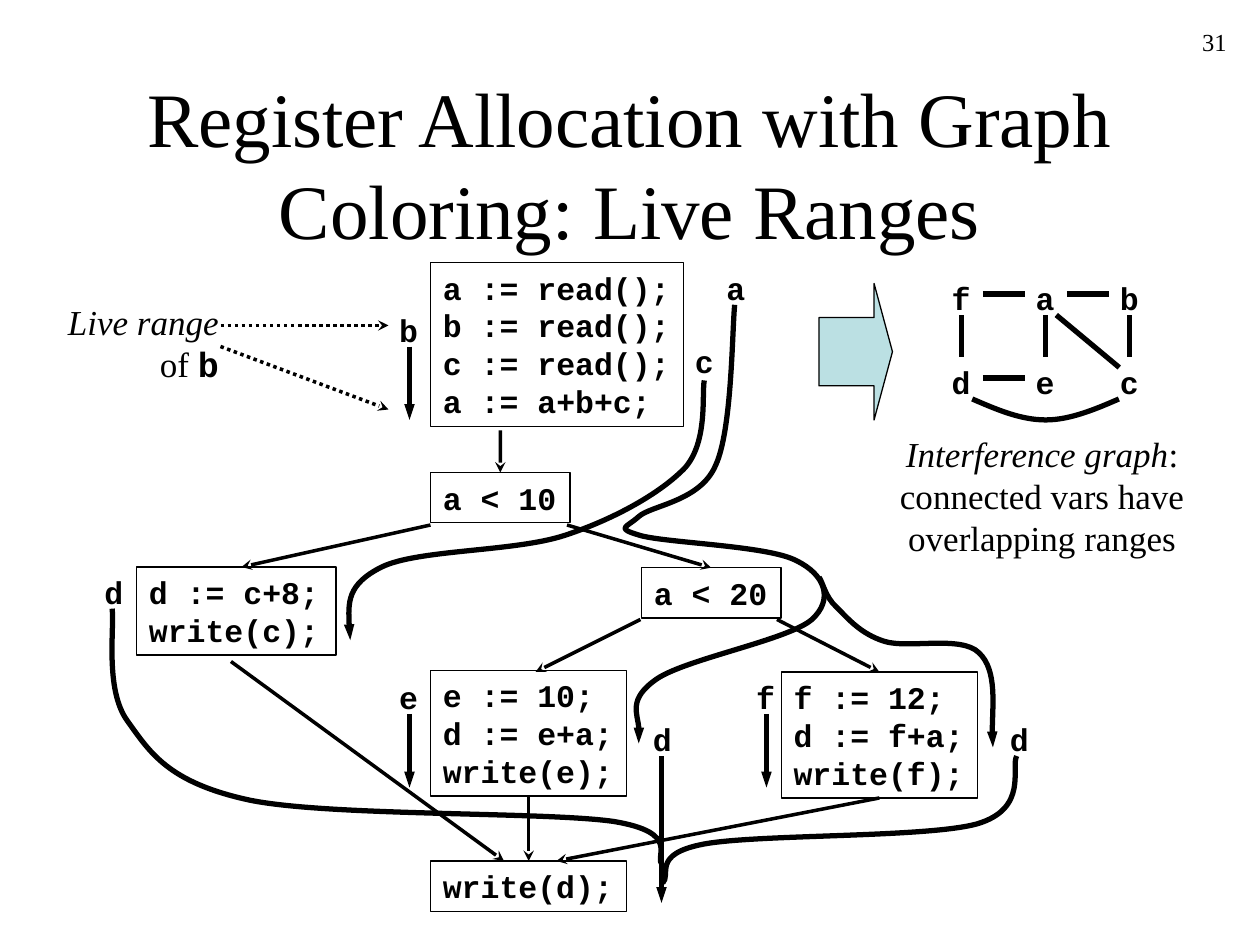
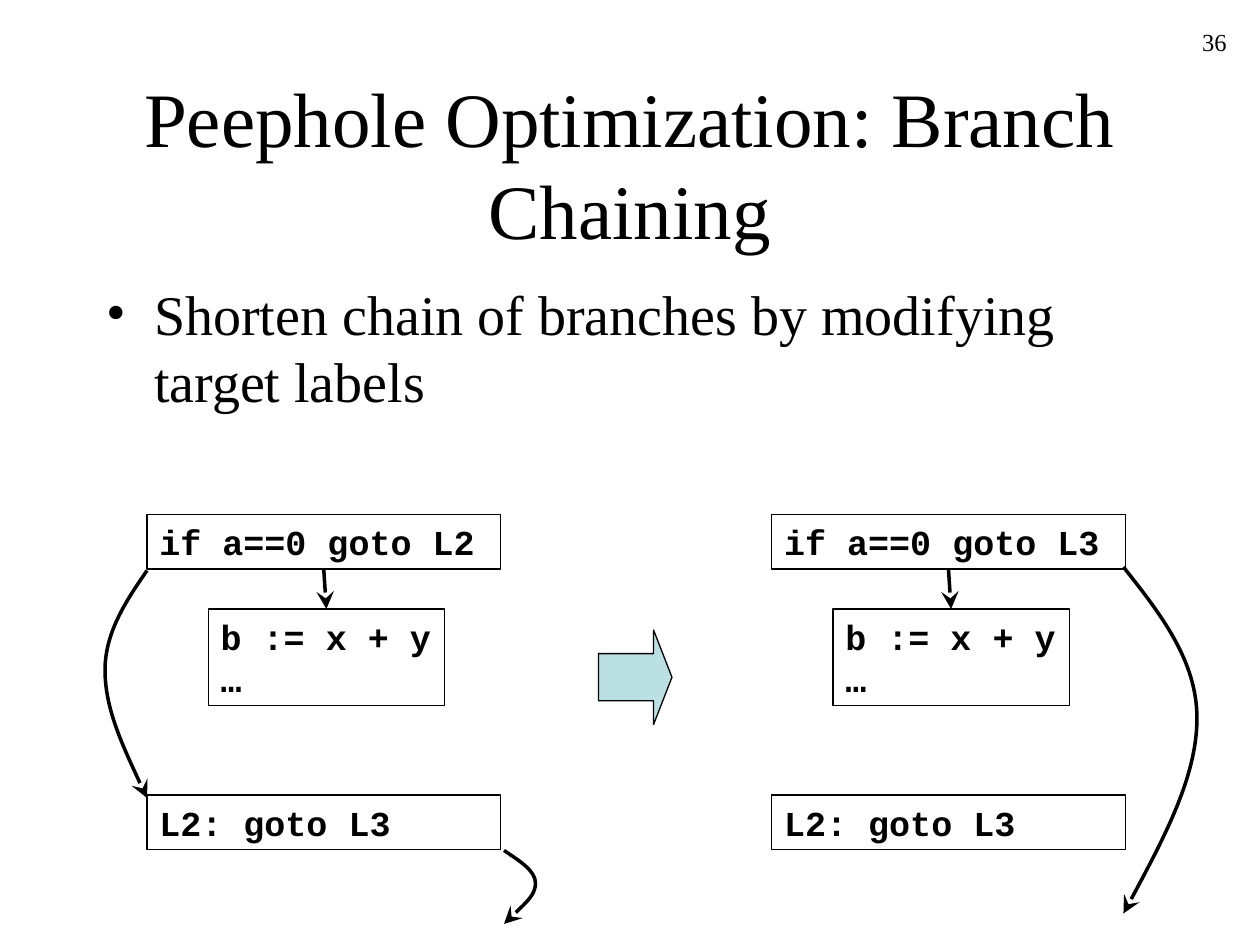
"""Builds two compiler slides: live ranges for register allocation, and branch chaining."""
from lxml.etree import SubElement
from pptx import Presentation
from pptx.dml.color import RGBColor
from pptx.enum.dml import MSO_LINE
from pptx.enum.shapes import MSO_CONNECTOR, MSO_SHAPE
from pptx.enum.text import MSO_ANCHOR, MSO_AUTO_SIZE as AUTO, PP_ALIGN
from pptx.oxml.ns import qn
from pptx.util import Pt

SERIF, MONO = "Times New Roman", "Courier New"
BLACK, TEAL = "000000", "BBE0E3"
CODE_SIZE, CHAIN_SIZE = 18, 20
FLOW_TIP = {"type": "stealth"}
RANGE_TIP = {"type": "triangle", "w": "sm", "len": "med"}
JUMP_TIP = {"type": "stealth", "w": "lg", "len": "lg"}

RANGES_TITLE = "Register Allocation with Graph Coloring: Live Ranges"
RANGES_BLOCKS = [
    (246, 150, "a := read();\nb := read();\nc := read();\na := a+b+c;"),
    (366.5, 324.4, "a < 20"),
    (246, 270, "a < 10"),
    (78, 324, "d := c+8;\nwrite(c);", CODE_SIZE, 114),
    (446.4, 384, "f := 12;\nd := f+a;\nwrite(f);"),
    (246, 383, "e := 10;\nd := e+a;\nwrite(e);"),
    (246, 492, "write(d);"),
]
CONTROL_FLOW = [
    (286, 246, 286, 270), (246, 300, 138, 324), (324, 300, 408, 324),
    (444, 354, 504, 384), (366, 354, 306, 384), (300, 456, 300, 492),
    (132, 378, 288, 492), (504, 456, 318, 492),
]
RANGE_LETTERS = [
    (408, 150, "a"), (221, 174, "b"), (390, 192, "c"), (221, 384, "e"),
    (425, 384, "f"), (52.6, 324, "d"), (570, 408, "d"), (366, 408, "d"),
]
STRAIGHT_RANGES = [
    (234, 198, 234, 240), (234, 408, 234, 450),
    (438, 408, 438, 450), (378, 432, 378, 516),
]
RANGE_C = [
    (402.5, 217.4), (401, 225.4), (404.6, 252), (391.7, 267.1),
    (378, 281.5), (351.4, 296.6), (322.6, 306),
    (293.8, 315.4), (239, 313.9), (218.2, 324),
    (198, 334.1), (198.7, 349.9), (200.2, 365.8),
]
RANGE_A = [
    (419.8, 174.2), (418.3, 189.4), (418.3, 245.5), (409, 265.7),
    (400.3, 286.6), (372.2, 288.7), (365, 295.2),
    (357.8, 301.7), (351.4, 301.7), (365.8, 306),
    (380.9, 310.3), (439.2, 311.8), (455, 320.4),
    (471.6, 328.3), (476.6, 342.7), (463.7, 354.2),
    (450, 365.8), (391.7, 376.6), (375.1, 388.1),
    (358.6, 399.6), (367.2, 416.9), (365, 424.8),
]
RANGE_A_BRANCH = [
    (468, 329.8), (470.2, 332.6), (471.6, 341.3), (478.1, 347),
    (484.6, 353.5), (491.8, 362.2), (505.4, 366.5),
    (519.1, 370.8), (549.4, 362.9), (559.4, 373),
    (570.2, 383), (565.9, 415.4), (567.4, 427),
]
RANGE_D_RIGHT = [
    (581, 432), (577.4, 438.5), (588.2, 462.2), (558, 470.9),
    (528.5, 478.8), (432, 476.6), (401.8, 482.4),
    (372.2, 488.2), (383.8, 499.7), (378.7, 504.7),
]
RANGE_D_LEFT = [
    (64.1, 347.8), (65.5, 358.6), (59.8, 393.8), (72.7, 411.8),
    (85.7, 429.8), (95.8, 447.1), (142.6, 457.2),
    (188.6, 466.6), (311, 463.7), (350.6, 469.4),
    (390.2, 475.9), (373, 489.6), (378.7, 494.6),
]
CURVED_RANGES = [
    (RANGE_C, RANGE_TIP), (RANGE_A, RANGE_TIP), (RANGE_A_BRANCH, RANGE_TIP),
    (RANGE_D_RIGHT, None), (RANGE_D_LEFT, None),
]
GRAPH_ROWS = ["fab", "dec"]
GRAPH_LEFT, GRAPH_TOP, GRAPH_STEP, NODE_GAP = 549.6, 168, 48, 12
GRAPH_EDGES = ["fa", "ab", "fd", "ae", "bc", "de"]
EDGE_AC = (603.6, 180, 639.6, 210)
EDGE_DC = [(555.6, 228), (569.5, 234), (583.2, 240), (597.6, 240),
           (611.3, 240), (625.7, 234), (639.4, 228)]
PLAIN, ITALIC, CODE = (SERIF, False, False), (SERIF, True, False), (MONO, False, True)
GRAPH_CAPTION = [
    [("Interference graph", ITALIC), (":", PLAIN)],
    [("connected vars have", PLAIN)],
    [("overlapping ranges", PLAIN)],
]
RANGE_CAPTION = [[("Live range", ITALIC)], [("of ", PLAIN), ("b", CODE)]]
CAPTION_POINTERS = [(126, 186, 222, 186), (126, 198, 222, 234)]

CHAIN_TITLE = "Peephole Optimization: Branch Chaining"
CHAIN_POINT = "Shorten chain of branches by modifying target labels"
CHAIN_COLUMNS = [(0, "L2"), (357, "L3")]
BRANCH_WIDTH = 202
JUMPS = [
    [(84, 326), (72, 343.4), (60, 361.4), (60, 383), (60, 404.6), (72, 430.6), (84, 456)],
    [(642, 324), (663, 350.6), (684, 377.3), (684, 410.4), (684, 443.5), (663, 483.1), (642, 522)],
    [(288, 486), (296.6, 491.8), (306, 497.5), (306, 504.7), (306, 511.2), (296.6, 519.8), (288, 528)],
]


def color(value):
    return RGBColor.from_string(value)


def style_font(font, size, name=SERIF, bold=False, italic=False):
    font.size, font.name, font.bold, font.italic = Pt(size), name, bold, italic
    font.color.rgb = color(BLACK)


def stroke(shape, width, tip=None, dash=None):
    shape.line.color.rgb = color(BLACK)
    shape.line.width = Pt(width)
    if dash:
        shape.line.dash_style = dash
    if tip:
        SubElement(shape.element.spPr.find(qn("a:ln")), qn("a:tailEnd"), tip)


def place(left, top, width, height):
    return Pt(left), Pt(top), Pt(width), Pt(height)


def add_text(slide, left, top, width, height):
    frame = slide.shapes.add_textbox(*place(left, top, width, height)).text_frame
    frame.word_wrap = True
    return frame


def add_code(slide, left, top, code, size=CODE_SIZE, width=None, boxed=True):
    lines = code.split("\n")
    fitted = 0.6 * size * max(map(len, lines)) + 15
    area = place(left, top, width or fitted, 1.2 * size * len(lines) + 7.2)
    if boxed:
        block = slide.shapes.add_shape(MSO_SHAPE.RECTANGLE, *area)
        block.shadow.inherit = False
        block.fill.background()
        stroke(block, 0.75)
    else:
        block = slide.shapes.add_textbox(*area)
    frame = block.text_frame
    frame.word_wrap = width is not None
    frame.auto_size = AUTO.SHAPE_TO_FIT_TEXT
    frame.vertical_anchor = MSO_ANCHOR.TOP
    paragraph = frame.paragraphs[0]
    paragraph.text = code
    paragraph.alignment = PP_ALIGN.LEFT
    style_font(paragraph.font, size, MONO, bold=True)
    return block


def add_caption(slide, area, lines, alignment):
    frame = add_text(slide, *area)
    frame.word_wrap = False
    frame.auto_size = AUTO.SHAPE_TO_FIT_TEXT
    for number, pieces in enumerate(lines):
        paragraph = frame.add_paragraph() if number else frame.paragraphs[0]
        paragraph.alignment = alignment
        for text, (name, italic, bold) in pieces:
            run = paragraph.add_run()
            run.text = text
            style_font(run.font, 20, name, bold, italic)


def side_at(blocks, x, y):
    """Finds the block and side whose middle lies within three points of a place."""
    for block in blocks:
        middle = block.left + block.width // 2
        for side, edge in ((0, block.top), (2, block.top + block.height)):
            if max(abs(middle - Pt(x)), abs(edge - Pt(y))) < Pt(3):
                return block, side
    return None


def add_line(slide, ends, width, tip=None, dash=None, blocks=()):
    line = slide.shapes.add_connector(MSO_CONNECTOR.STRAIGHT, *map(Pt, ends))
    SubElement(line.element.spPr, qn("a:effectLst"))
    stroke(line, width, tip, dash)
    start, finish = side_at(blocks, *ends[:2]), side_at(blocks, *ends[2:])
    if start:
        line.begin_connect(*start)
    if finish:
        line.end_connect(*finish)


def add_curve(slide, points, width, tip=None):
    """Draws a start point followed by triples of Bézier points."""
    first, *rest = [(Pt(x), Pt(y)) for x, y in points]
    builder = slide.shapes.build_freeform(*first)
    builder.add_line_segments(rest, close=False)
    curve = builder.convert_to_shape()
    segments = list(curve.element.iter(qn("a:lnTo")))
    for bend, *others in zip(segments[::3], segments[1::3], segments[2::3]):
        bend.tag = qn("a:cubicBezTo")
        for other in others:
            bend.append(other[0])
            other.getparent().remove(other)
    curve.shadow.inherit = False
    curve.fill.background()
    stroke(curve, width, tip)


def add_block_arrow(slide, *area):
    arrow = slide.shapes.add_shape(MSO_SHAPE.RIGHT_ARROW, *place(*area))
    arrow.adjustments[0], arrow.adjustments[1] = 0.5, 0.25
    arrow.shadow.inherit = False
    arrow.fill.solid()
    arrow.fill.fore_color.rgb = color(TEAL)
    stroke(arrow, 0.75)


def add_slide(deck, heading, number):
    slide = deck.slides.add_slide(deck.slide_layouts[5])
    title = slide.shapes.title
    title.left, title.top, title.width, title.height = place(54, 48, 612, 90)
    title.text_frame.auto_size = AUTO.NONE
    title.text_frame.vertical_anchor = MSO_ANCHOR.MIDDLE
    page = add_text(slide, 558, 12, 150, 36)
    for frame, text, size, alignment in (
        (title.text_frame, heading, 44, PP_ALIGN.CENTER),
        (page, number, 14, PP_ALIGN.RIGHT),
    ):
        paragraph = frame.paragraphs[0]
        paragraph.text, paragraph.alignment = text, alignment
        style_font(paragraph.font, size)
    return slide


def add_graph(slide):
    centers = {
        node: (GRAPH_LEFT + GRAPH_STEP * column, GRAPH_TOP + GRAPH_STEP * row)
        for row, nodes in enumerate(GRAPH_ROWS) for column, node in enumerate(nodes)
    }
    for node, (x, y) in centers.items():
        add_code(slide, x - 12.8, y - 12, node, boxed=False)
    for start, finish in GRAPH_EDGES:
        (x1, y1), (x2, y2) = centers[start], centers[finish]
        dx, dy = (NODE_GAP * (x2 - x1) / GRAPH_STEP, NODE_GAP * (y2 - y1) / GRAPH_STEP)
        add_line(slide, (x1 + dx, y1 + dy, x2 - dx, y2 - dy), 3)
    add_line(slide, EDGE_AC, 3)
    add_curve(slide, EDGE_DC, 3)


def build_live_ranges(deck):
    slide = add_slide(deck, RANGES_TITLE, "31")
    blocks = [add_code(slide, *block) for block in RANGES_BLOCKS]
    for ends in CONTROL_FLOW:
        add_line(slide, ends, 2, FLOW_TIP, blocks=blocks)
    for letter in RANGE_LETTERS:
        add_code(slide, *letter, boxed=False)
    for ends in STRAIGHT_RANGES:
        add_line(slide, ends, 3, RANGE_TIP)
    for points, tip in CURVED_RANGES:
        add_curve(slide, points, 3, tip)
    add_graph(slide)
    add_caption(slide, (500, 243.4, 191, 79.2), GRAPH_CAPTION, PP_ALIGN.CENTER)
    add_caption(slide, (31.4, 168, 100.8, 55.2), RANGE_CAPTION, PP_ALIGN.RIGHT)
    for ends in CAPTION_POINTERS:
        add_line(slide, ends, 2, FLOW_TIP, MSO_LINE.ROUND_DOT)
    add_block_arrow(slide, 468, 162, 42, 78)


def build_branch_chaining(deck):
    slide = add_slide(deck, CHAIN_TITLE, "36")
    point = add_text(slide, 54, 156, 612, 324).paragraphs[0]
    point.text = CHAIN_POINT
    properties = point._p.get_or_add_pPr()
    properties.set("marL", str(Pt(27)))
    properties.set("indent", str(-Pt(27)))
    SubElement(properties, qn("a:buFont"), typeface=SERIF)
    SubElement(properties, qn("a:buChar"), char="•")
    style_font(point.font, 32)
    for shift, target in CHAIN_COLUMNS:
        branch = add_code(slide, 84 + shift, 294, f"if a==0 goto {target}", CHAIN_SIZE, BRANCH_WIDTH)
        body = add_code(slide, 119 + shift, 348, "b := x + y\n…", CHAIN_SIZE)
        add_code(slide, 84 + shift, 454.3, "L2: goto L3", CHAIN_SIZE, BRANCH_WIDTH)
        add_line(slide, (186 + shift, 324, 186 + shift, 348), 2, JUMP_TIP, blocks=(branch, body))
    for points in JUMPS:
        add_curve(slide, points, 2, JUMP_TIP)
    add_block_arrow(slide, 342, 360, 42, 54)


def main():
    deck = Presentation()
    deck.slide_width, deck.slide_height = Pt(720), Pt(540)
    build_live_ranges(deck)
    build_branch_chaining(deck)
    deck.save("out.pptx")


if __name__ == "__main__":
    main()
